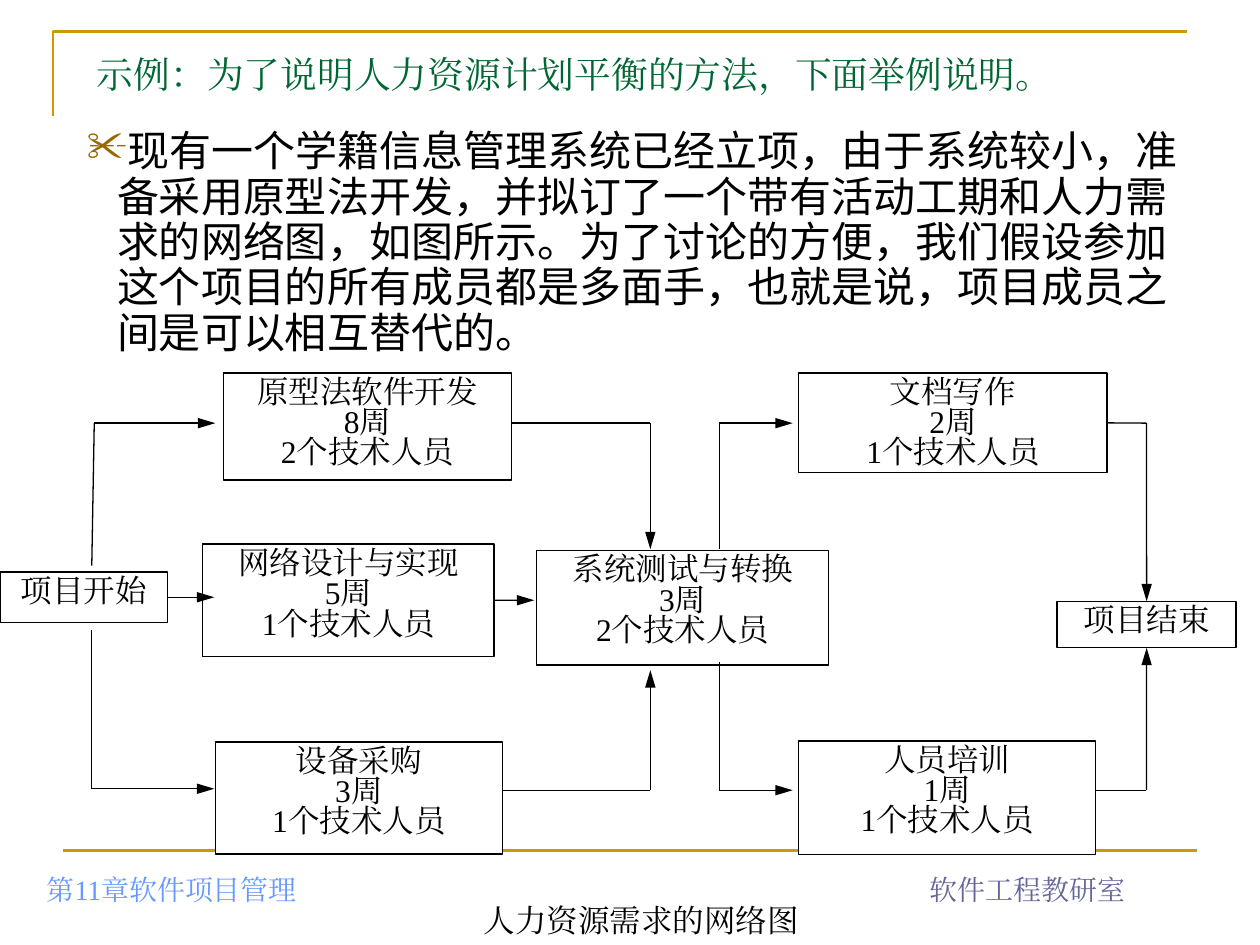
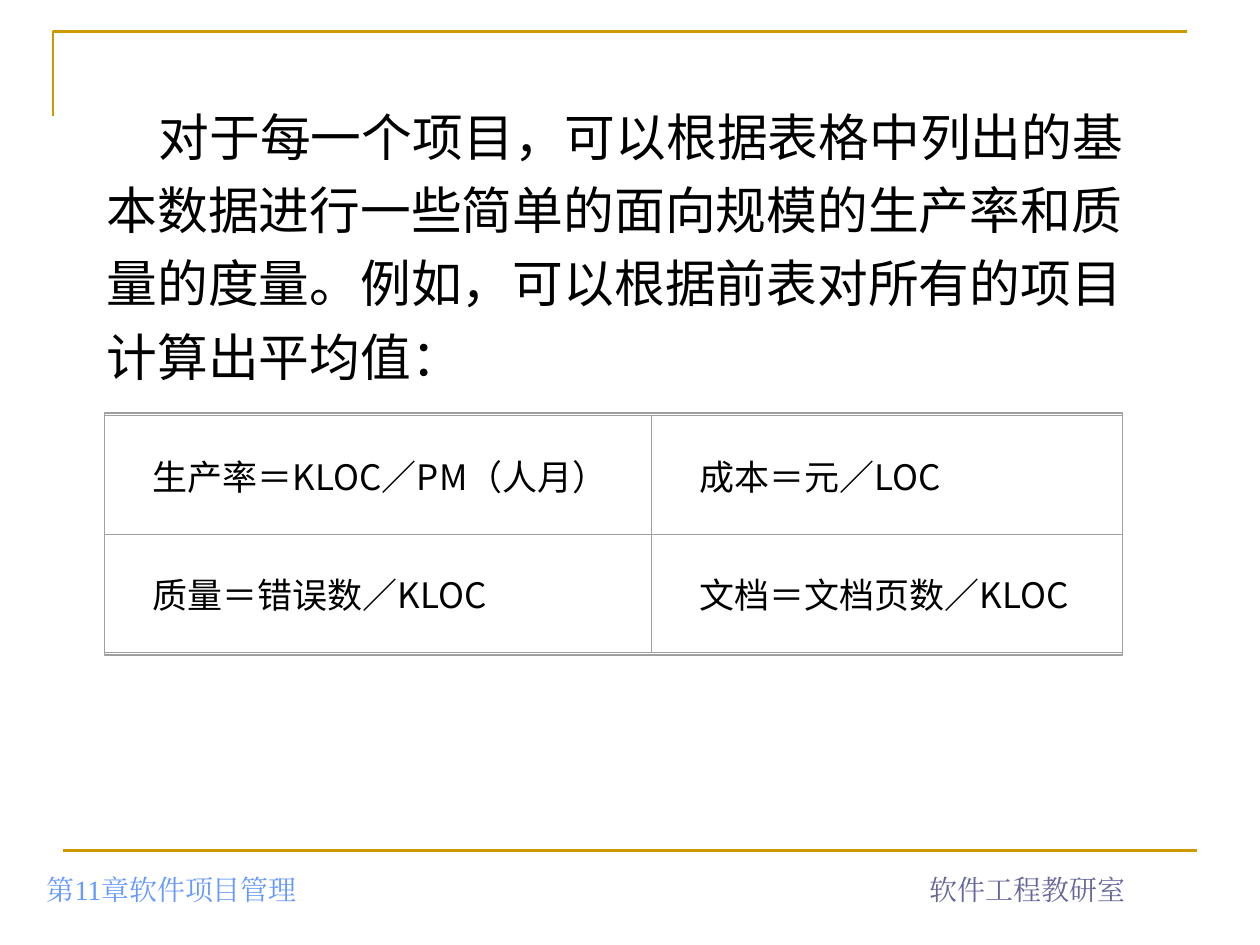
from dataclasses import dataclass

import pptx
import pptx.dml.color
import pptx.enum.shapes
import pptx.enum.text
import pptx.oxml
import pptx.oxml.ns
import pptx.oxml.xmlchemy
import pptx.util
from lxml import etree

Cm = pptx.util.Cm
Pt = pptx.util.Pt
qn = pptx.oxml.ns.qn
ALIGN = pptx.enum.text.PP_ALIGN
ANCHOR = pptx.enum.text.MSO_ANCHOR
SHAPE = pptx.enum.shapes.MSO_SHAPE

GOLD, BLACK, WHITE, GRAY = "CC9900", "000000", "FFFFFF", "A0A0A0"
TIMES, SANS = "Times New Roman", "Noto Sans CJK SC"


@dataclass(frozen=True)
class Style:
    size: float
    font: str = TIMES
    color: str = BLACK
    align: ALIGN = ALIGN.LEFT
    anchor: ANCHOR = ANCHOR.TOP
    space: float = 1.0
    left: float = 0
    indent: float = 0
    bullet: str = ""
    tint: str = BLACK
    wrap: bool = True


@dataclass(frozen=True)
class Area:
    x: float
    y: float
    w: float
    h: float

    def cm(self) -> tuple:
        return Cm(self.x), Cm(self.y), Cm(self.w), Cm(self.h)


@dataclass(frozen=True)
class Task:
    key: str
    area: Area
    text: str


@dataclass(frozen=True)
class Wire:
    """A path of points in cm; start and end name a task and its side."""
    points: tuple
    arrow: bool = True
    start: tuple = ()
    end: tuple = ()


TITLE = Style(21, color="006633")
BODY = Style(24, font="Arial", space=0.9, left=0.61, indent=-0.61, bullet="✂", tint="996600")
NODE = Style(18, align=ALIGN.CENTER, space=0.8)
NOTE = Style(18, align=ALIGN.CENTER, wrap=False)
LEAD = Style(29, font=SANS, anchor=ANCHOR.MIDDLE, space=1.2, indent=1.05)
CELL = Style(20, font=SANS, anchor=ANCHOR.MIDDLE, indent=0.71)

FOOTERS = (
    (Area(0.69, 17.12, 10.01, 1.27), "第11章软件项目管理",
     Style(16, color="6699FF", anchor=ANCHOR.BOTTOM)),
    (Area(16.69, 17.12, 8.05, 1.27), "软件工程教研室",
     Style(16, color="666699", align=ALIGN.CENTER, anchor=ANCHOR.BOTTOM)),
)

TASKS = (
    Task("proto", Area(4.5, 7.52, 5.82, 2.16), "原型法软件开发\n8周\n2个技术人员"),
    Task("docs", Area(16.1, 7.52, 6.22, 2.01), "文档写作\n2周\n1个技术人员"),
    Task("net", Area(4.09, 10.97, 5.87, 2.26), "网络设计与实现\n5周\n1个技术人员"),
    Task("buy", Area(4.34, 14.96, 5.79, 2.26), "设备采购\n3周\n1个技术人员"),
    Task("test", Area(10.82, 11.1, 5.89, 2.31), "系统测试与转换\n3周\n2个技术人员"),
    Task("train", Area(16.1, 14.94, 5.99, 2.29), "人员培训\n1周\n1个技术人员"),
    Task("start", Area(0, 11.53, 3.38, 1.02), "项目开始"),
    Task("end", Area(21.31, 12.12, 3.61, 0.94), "项目结束"),
)

HIGH, LOW = 8.53, 15.93
FORK, JOIN, SPLIT, LAST = 1.85, 13.11, 14.5, 23.11
WIRES = (
    Wire(((FORK, 11.4), (1.9, HIGH), (4.34, HIGH))),
    Wire(((FORK, 12.7), (FORK, 15.9), (4.32, 15.9))),
    Wire(((3.38, 12.04), (4.32, 12.04)), start=("start", 3)),
    Wire(((10.31, HIGH), (JOIN, HIGH), (JOIN, 11.07))),
    Wire(((10.11, LOW), (JOIN, LOW), (JOIN, 13.51))),
    Wire(((9.96, 12.1), (10.77, 12.1)), start=("net", 3)),
    Wire(((SPLIT, 11.07), (SPLIT, HIGH), (15.98, HIGH))),
    Wire(((SPLIT, 13.34), (SPLIT, LOW), (15.98, LOW))),
    Wire(((22.32, HIGH), (LAST, HIGH), (LAST, 12.12)), start=("docs", 3), end=("end", 0)),
    Wire(((22.1, LOW), (LAST, LOW), (LAST, 13.06)), end=("end", 2)),
)

RATES = (
    ("生产率＝KLOC／PM（人月）", "成本＝元／LOC"),
    ("质量＝错误数／KLOC", "文档＝文档页数／KLOC"),
)


def rgb(code: str) -> pptx.dml.color.RGBColor:
    return pptx.dml.color.RGBColor.from_string(code)


def add(parent, tag: str, **attrs):
    return etree.SubElement(parent, qn(tag), attrs)


def dress(frame, text: str, style: Style) -> None:
    """Fill a text frame and format all its paragraphs."""
    frame.text = text
    for para in frame.paragraphs:
        props = para._p.get_or_add_pPr()
        para.alignment = style.align
        para.line_spacing = style.space
        para.space_before = Pt(0)
        props.set("marL", str(Cm(style.left)))
        props.set("indent", str(Cm(style.indent)))
        if style.bullet:
            add(add(props, "a:buClr"), "a:srgbClr", val=style.tint)
            add(props, "a:buChar", char=style.bullet)
        for run in para.runs:
            run.font.size = Pt(style.size)
            run.font.name = style.font
            run.font.color.rgb = rgb(style.color)
            add(run._r.get_or_add_rPr(), "a:ea", typeface=style.font)


def fit(frame, style: Style) -> None:
    frame.auto_size = pptx.enum.text.MSO_AUTO_SIZE.NONE
    frame.word_wrap = style.wrap
    frame.vertical_anchor = style.anchor


def label(slide, area: Area, text: str, style: Style) -> None:
    frame = slide.shapes.add_textbox(*area.cm()).text_frame
    fit(frame, style)
    dress(frame, text, style)


def stroke(shape, color: str, width: float) -> None:
    shape.line.color.rgb = rgb(color)
    shape.line.width = Pt(width)


def link(slide, tip: tuple, end: tuple, color: str, width: float):
    line = slide.shapes.add_connector(
        pptx.enum.shapes.MSO_CONNECTOR.STRAIGHT, *map(Cm, tip + end))
    stroke(line, color, width)
    add(line._element.spPr, "a:effectLst")
    return line


def base(deck, layout: int):
    """Add a slide with the gold corner, bottom rule and footers."""
    slide = deck.slides.add_slide(deck.slide_layouts[layout])
    pen = slide.shapes.build_freeform(Cm(1.07), Cm(2.34))
    pen.add_line_segments([(Cm(1.07), Cm(0.64)), (Cm(23.93), Cm(0.64))], close=False)
    corner = pen.convert_to_shape()
    corner.shadow.inherit = False
    corner.fill.background()
    stroke(corner, GOLD, 1.5)
    link(slide, (1.27, 17.15), (24.13, 17.15), GOLD, 1.5)
    for area, text, style in FOOTERS:
        label(slide, area, text, style)
    return slide


def box(slide, area: Area, color: str, width: float):
    shape = slide.shapes.add_shape(SHAPE.RECTANGLE, *area.cm())
    shape.shadow.inherit = False
    stroke(shape, color, width)
    return shape


def node(slide, task: Task):
    shape = box(slide, task.area, BLACK, 0.75)
    shape.fill.solid()
    shape.fill.fore_color.rgb = rgb(WHITE)
    fit(shape.text_frame, NODE)
    dress(shape.text_frame, task.text, NODE)
    return shape


def route(slide, wire: Wire, nodes: dict) -> None:
    lines = [link(slide, tip, end, BLACK, 0.75)
             for tip, end in zip(wire.points, wire.points[1:])]
    if wire.start:
        key, side = wire.start
        lines[0].begin_connect(nodes[key], side)
    if wire.end:
        key, side = wire.end
        lines[-1].end_connect(nodes[key], side)
    if wire.arrow:
        add(lines[-1].line._get_or_add_ln(), "a:tailEnd", type="triangle", w="med", len="lg")


def edge(cell) -> None:
    """Draw thin gray borders on the four sides of a cell."""
    props = cell._tc.get_or_add_tcPr()
    for pos, tag in enumerate(("a:lnL", "a:lnR", "a:lnT", "a:lnB")):
        line = etree.Element(qn(tag), w=str(Pt(0.5)))
        add(add(line, "a:solidFill"), "a:srgbClr", val=GRAY)
        props.insert(pos, line)


def plan(deck) -> None:
    """Staffing example with its activity network."""
    slide = base(deck, 5)
    title = slide.shapes.title
    title.left, title.top, title.width, title.height = Area(1.7, 0.91, 23.01, 1.42).cm()
    fit(title.text_frame, TITLE)
    dress(title.text_frame, "示例：为了说明人力资源计划平衡的方法，下面举例说明。", TITLE)
    label(slide, Area(1.5, 2.51, 23.01, 4.83),
          "现有一个学籍信息管理系统已经立项，由于系统较小，准备采用原型法开发，"
          "并拟订了一个带有活动工期和人力需求的网络图，如图所示。为了讨论的方便，"
          "我们假设参加这个项目的所有成员都是多面手，也就是说，项目成员之间是可以相互替代的。", BODY)
    label(slide, Area(9.5, 18.03, 6.86, 1.02), "人力资源需求的网络图", NOTE)
    nodes = {task.key: node(slide, task) for task in TASKS}
    for wire in WIRES:
        route(slide, wire, nodes)


def rates(deck) -> None:
    """Size-based averages in a two by two table."""
    slide = base(deck, 6)
    label(slide, Area(1.9, 2.72, 21.79, 4.24),
          "对于每一个项目，可以根据表格中列出的基本数据进行一些简单的面向规模的生产率和质量的度量。"
          "例如，可以根据前表对所有的项目计算出平均值：", LEAD)
    grid = slide.shapes.add_table(2, 2, *Area(2.11, 8.38, 20.52, 4.78).cm()).table
    grid.first_row = grid.horz_banding = False
    for col, width in zip(grid.columns, (11.02, 9.5)):
        col.width = Cm(width)
    for row, texts in enumerate(RATES):
        for col, text in enumerate(texts):
            cell = grid.cell(row, col)
            cell.fill.background()
            cell.vertical_anchor = CELL.anchor
            dress(cell.text_frame, text, CELL)
            edge(cell)
    box(slide, Area(2.11, 8.33, 20.52, 4.88), GRAY, 0.88).fill.background()


def main() -> None:
    deck = pptx.Presentation()
    deck.slide_width, deck.slide_height = Cm(25.4), Cm(19.05)
    plan(deck)
    rates(deck)
    deck.save("out.pptx")


if __name__ == "__main__":
    main()
